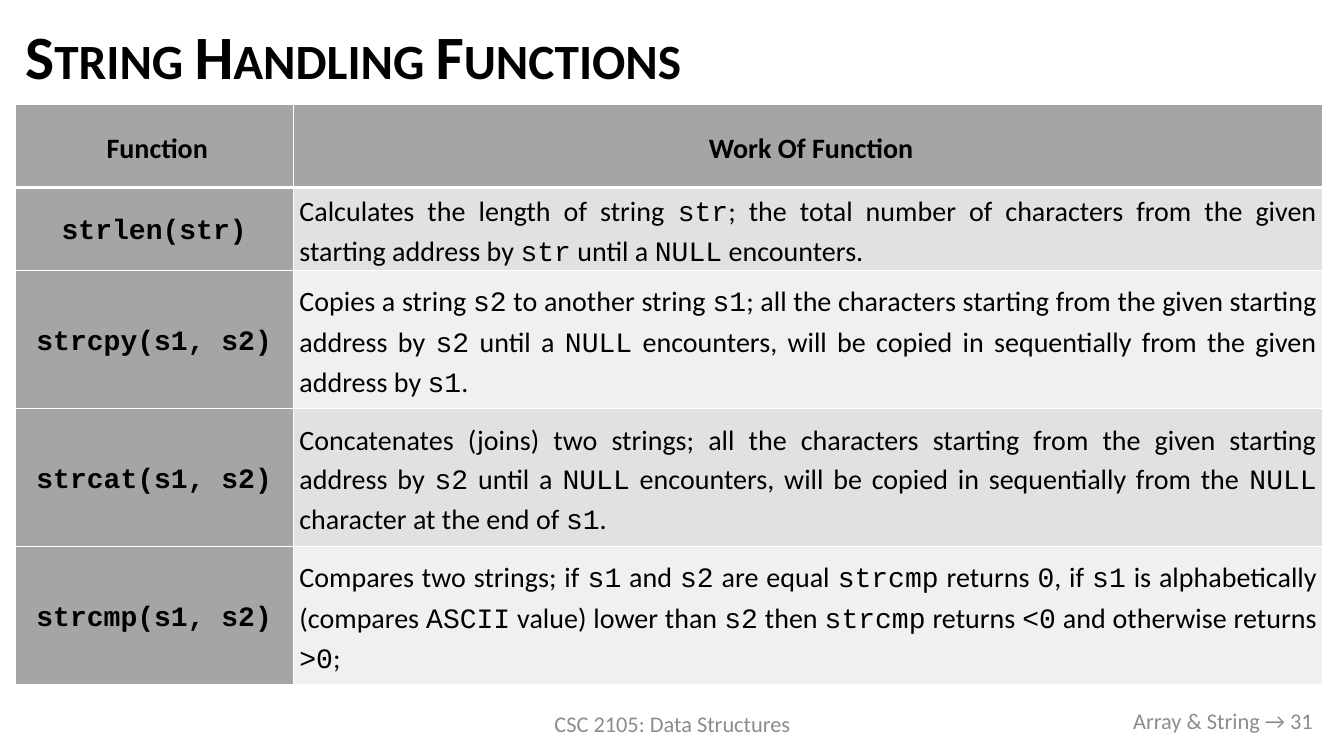
"""Build the slide on string handling functions."""
from dataclasses import dataclass

from lxml import etree
from pptx import Presentation
from pptx import util as u
from pptx.dml.color import RGBColor
from pptx.enum import text
from pptx.oxml.ns import qn

AL = text.PP_ALIGN
MID = text.MSO_ANCHOR.MIDDLE


@dataclass(frozen=True)
class Theme:
    font: str = "Calibri"
    code: str = "Courier New"
    ink: str = "000000"
    muted: str = "8C8C8C"
    head: str = "A5A5A5"
    bands: tuple = ("E1E1E1", "F0F0F0")
    rule: str = "FFFFFF"
    title: int = 44
    body: int = 20
    foot: int = 16


def write(tf, content, *, font, size, color, code=None, bold=False,
          align=AL.LEFT, spacing=None, small_caps=False):
    """Fill a text frame; parts between backticks take the code font."""
    p = tf.paragraphs[0]
    p.alignment = align
    p.line_spacing = spacing
    for i, part in enumerate(content.split("`")):
        if not part:
            continue
        r = p.add_run()
        r.text = part
        r.font.name = code if i % 2 else font
        r.font.size = u.Pt(size)
        r.font.bold = bold
        r.font.color.rgb = RGBColor.from_string(color)
        if small_caps:
            r.font._element.set("cap", "small")


class Deck:
    def __init__(self, theme):
        self.th = theme
        self.prs = Presentation()
        self.prs.slide_width = u.Inches(13.33)
        self.prs.slide_height = u.Inches(7.5)
        self.s = self.prs.slides.add_slide(self.prs.slide_layouts[5])

    def title(self, content, x, y, w, h):
        sp = self.s.shapes.title
        sp.left, sp.top, sp.width, sp.height = map(u.Inches, (x, y, w, h))
        tf = sp.text_frame
        tf.auto_size = text.MSO_AUTO_SIZE.NONE
        tf.vertical_anchor = MID
        write(tf, content, font=self.th.font, size=self.th.title,
              color=self.th.ink, bold=True, spacing=0.9, small_caps=True)

    def footer(self, content, x, y, w, h, align):
        tf = self.s.shapes.add_textbox(*map(u.Inches, (x, y, w, h))).text_frame
        tf.word_wrap = True
        tf.vertical_anchor = MID
        write(tf, content, font=self.th.font, size=self.th.foot,
              color=self.th.muted, align=align)

    def borders(self, cell, **widths):
        tcPr = cell._tc.get_or_add_tcPr()
        for i, side in enumerate("LRTB"):
            ln = etree.Element(qn(f"a:ln{side}"),
                               w=str(u.Pt(widths.get(side, 1))))
            fill = etree.SubElement(ln, qn("a:solidFill"))
            etree.SubElement(fill, qn("a:srgbClr"), val=self.th.rule)
            tcPr.insert(i, ln)

    def cell(self, cell, content, fill, margins, **fmt):
        cell.fill.solid()
        cell.fill.fore_color.rgb = RGBColor.from_string(fill)
        cell.vertical_anchor = MID
        (cell.margin_left, cell.margin_top, cell.margin_right,
         cell.margin_bottom) = map(u.Inches, margins)
        write(cell.text_frame, content, font=self.th.font, code=self.th.code,
              size=self.th.body, color=self.th.ink, spacing=1.15, **fmt)

    def table(self, rows, x, y, widths, heights):
        box = map(u.Inches, (x, y, sum(widths), sum(heights)))
        tbl = self.s.shapes.add_table(len(rows), len(widths), *box).table
        for col, w in zip(tbl.columns, widths):
            col.width = u.Inches(w)
        for i, (row, h) in enumerate(zip(rows, heights)):
            tbl.rows[i].height = u.Inches(h)
            margins = (0.06, 0.02, 0.06, 0) if i else (0.06, 0.03, 0, 0.02)
            edges = {0: {"B": 3}, 1: {"T": 3}}.get(i, {})
            for j, content in enumerate(row):
                label = i == 0 or j == 0
                fill = self.th.head if label else self.th.bands[(i - 1) % 2]
                cell = tbl.cell(i, j)
                self.cell(cell, content, fill, margins, bold=label,
                          align=AL.CENTER if label else AL.JUSTIFY)
                self.borders(cell, **edges)


ROWS = [
    ("Function", "Work Of Function"),
    ("`strlen(str)`",
     "Calculates the length of string `str`; the total number of characters "
     "from the given starting address by `str` until a `NULL` encounters. "),
    ("`strcpy(s1, s2)`",
     "Copies a string `s2` to another string `s1`; all the characters "
     "starting from the given starting address by `s2` until a `NULL` "
     "encounters, will be copied in sequentially from the given address "
     "by `s1`."),
    ("`strcat(s1, s2)`",
     "Concatenates (joins) two strings; all the characters starting from "
     "the given starting address by `s2` until a `NULL` encounters, will be "
     "copied in sequentially from the `NULL` character at the end of `s1`."),
    ("`strcmp(s1, s2)`",
     "Compares two strings; if `s1` and `s2` are equal `strcmp` returns `0`, "
     "if `s1` is alphabetically (compares `ASCII` value) lower than `s2` "
     "then `strcmp` returns `<0` and otherwise returns `>0`; "),
]


def main():
    d = Deck(Theme())
    d.title("String Handling Functions", 0.15, 0.15, 12.97, 0.89)
    d.table(ROWS, 0.15, 1.04, (2.76, 10.21), (0.82, 0.71) + (1.37,) * 3)
    d.footer("CSC 2105: Data Structures", 4.42, 6.98, 4.5, 0.4, AL.CENTER)
    d.footer("Array & String → 31", 10.12, 6.95, 3, 0.4, AL.RIGHT)
    d.prs.save("out.pptx")


if __name__ == "__main__":
    main()
